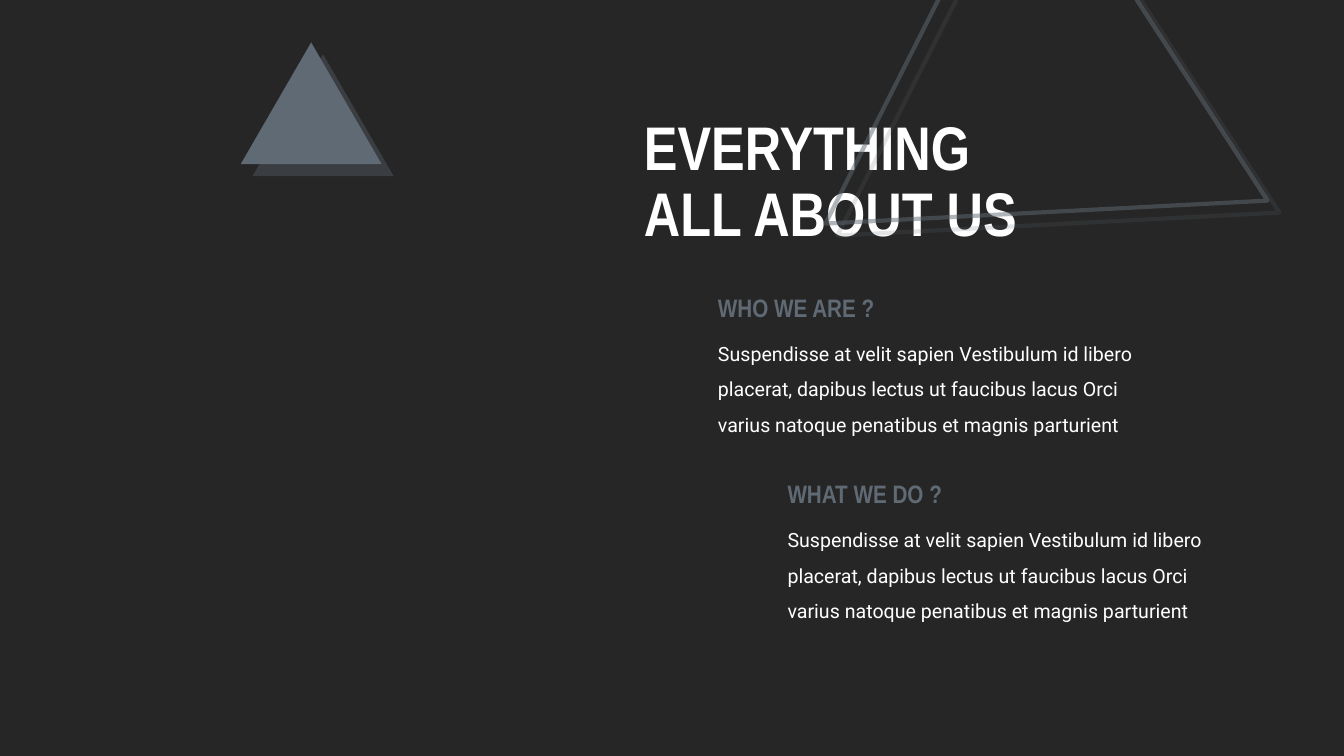
"""Build the "Everything all about us" slide."""
from lxml.etree import SubElement
from pptx import Presentation
from pptx.dml.color import RGBColor
from pptx.enum.shapes import MSO_SHAPE
from pptx.enum.text import MSO_ANCHOR, MSO_AUTO_SIZE, PP_ALIGN
from pptx.oxml.ns import qn
from pptx.util import Pt

SLATE, WHITE, DARK = "606A74", "FFFFFF", "262626"
TITLE = "EVERYTHING\vALL ABOUT US"
TITLE_PLACE = (453, 74, 405, 114)
BLURB = ("Suspendisse at velit sapien Vestibulum id libero placerat, dapibus lectus "
         "ut faucibus lacus Orci varius natoque penatibus et magnis parturient")
SECTIONS = [
    ("WHO WE ARE ?", BLURB, 506, 205.2),
    ("WHAT WE DO ?", BLURB, 555.7, 338.2),
]
HEADING_SIZE, BODY_SIZE, BODY_DROP = (176, 29), (325, 83), 27.2
OUTLINE_PLACE, OUTLINE_ANGLE = (545.8, -51.8, 317.5, 273.6), 236.9
SOLID_PLACE = (172, 30.3, 100.8, 87)

TITLE_FORMAT = {"name": "Arial Narrow", "size": Pt(44), "bold": True}
HEADING_FORMAT = {"name": "Arial Narrow", "size": Pt(18), "bold": True}
BODY_FORMAT = {"name": "Roboto", "size": Pt(14), "bold": False}
SHADOW = {"blurRad": "0", "dist": str(Pt(12.1)), "dir": "2700000",
          "algn": "tl", "rotWithShape": "0"}


def rgb(value):
    return RGBColor.from_string(value)


def points(place):
    return [Pt(length) for length in place]


def write(frame, text, format_values, color, spacing):
    frame.word_wrap = True
    frame.auto_size = MSO_AUTO_SIZE.NONE
    para = frame.paragraphs[0]
    para.text = text
    para.alignment = PP_ALIGN.LEFT
    para.line_spacing = spacing
    for span in para.runs:
        for name, value in format_values.items():
            setattr(span.font, name, value)
        span.font.color.rgb = rgb(color)


def add_text(page, place, *content):
    box = page.shapes.add_textbox(*points(place))
    write(box.text_frame, *content)


def set_alpha(color_element, percent):
    SubElement(color_element, qn("a:alpha"), val=str(percent * 1000))


def add_triangle(page, place):
    triangle = page.shapes.add_shape(MSO_SHAPE.ISOSCELES_TRIANGLE, *points(place))
    triangle.shadow.inherit = False
    effects = triangle.element.spPr.find(qn("a:effectLst"))
    shadow = SubElement(effects, qn("a:outerShdw"), SHADOW)
    set_alpha(SubElement(shadow, qn("a:srgbClr"), val=SLATE), 35)
    return triangle


def main():
    deck = Presentation()
    deck.slide_width, deck.slide_height = Pt(960.5), Pt(540)
    page = deck.slides.add_slide(deck.slide_layouts[5])
    page.background.fill.solid()
    page.background.fill.fore_color.rgb = rgb(DARK)

    title = page.shapes.title
    title.left, title.top, title.width, title.height = points(TITLE_PLACE)
    title.text_frame.vertical_anchor = MSO_ANCHOR.MIDDLE
    write(title.text_frame, TITLE, TITLE_FORMAT, WHITE, 0.9)

    outline = add_triangle(page, OUTLINE_PLACE)
    outline.rotation = OUTLINE_ANGLE
    outline.fill.background()
    outline.line.width = Pt(3)
    outline.line.color.rgb = rgb(SLATE)
    set_alpha(outline.element.spPr.find(".//" + qn("a:ln")).find(".//" + qn("a:srgbClr")), 50)

    solid = add_triangle(page, SOLID_PLACE)
    solid.fill.solid()
    solid.fill.fore_color.rgb = rgb(SLATE)
    solid.line.fill.background()

    for heading, body, left, top in SECTIONS:
        add_text(page, (left, top + BODY_DROP, *BODY_SIZE), body, BODY_FORMAT, WHITE, 1.5)
        add_text(page, (left, top, *HEADING_SIZE), heading, HEADING_FORMAT, SLATE, 1.0)

    deck.save("out.pptx")


if __name__ == "__main__":
    main()
